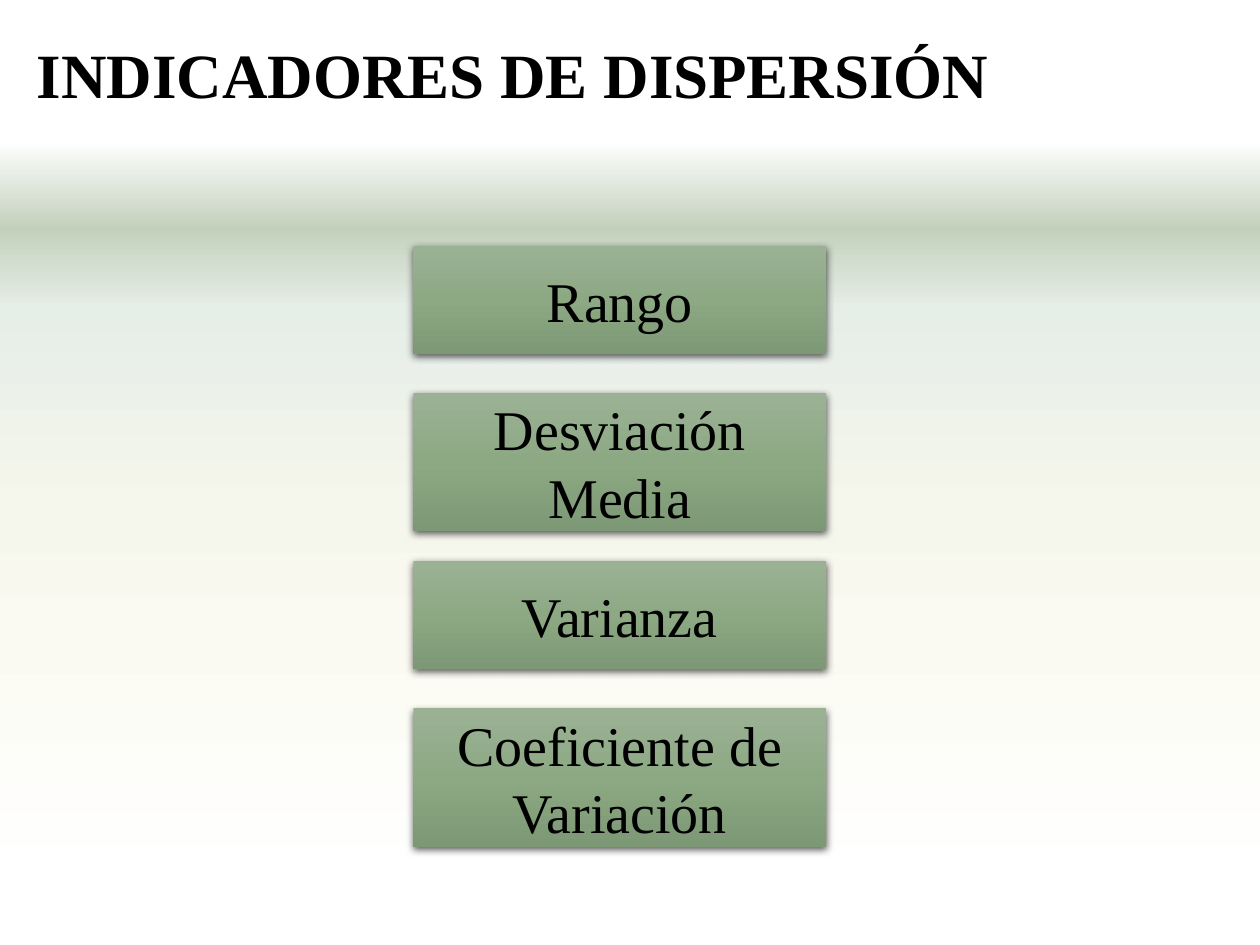
from copy import deepcopy
from itertools import pairwise

from lxml.etree import SubElement
from pptx import Presentation
from pptx.dml.color import RGBColor
from pptx.enum.shapes import MSO_SHAPE as Shape
from pptx.enum.text import MSO_ANCHOR as Anchor, PP_ALIGN as Align
from pptx.oxml.ns import qn
from pptx.util import Inches, Pt

COLUMNS, ROWS = 100, 75
WIDTH, HEIGHT = Inches(10), Inches(7.5)
FONT = "Times New Roman"
BOX_COLOURS = ["9BB194", "8DA984", "7C9874"]
BACKDROP_STOPS = [
    (0, "FFFFFF"), (0.11, "C3D1BC"), (0.21, "E6EEE8"),
    (0.46, "F5F6EC"), (0.62, "FBFAF2"), (0.92, "FFFFFF"),
]
INDICATORS = [
    ("Rango", "Desviación Media"),
    ("Varianza", "Coeficiente de Variación"),
]


def colour(value):
    return RGBColor.from_string(value)


def grid(left, top, width, height):
    column, row = WIDTH / COLUMNS, HEIGHT / ROWS
    return [round(n) for n in (left * column, top * row, width * column, height * row)]


def fill_downwards(shape, colours):
    fill = shape.fill
    fill.gradient()
    fill.gradient_angle = 270
    stop_list = shape._element.spPr.find(".//" + qn("a:gsLst"))
    for _ in colours[2:]:
        stop_list.append(deepcopy(stop_list[0]))
    for index, (stop, value) in enumerate(zip(fill.gradient_stops, colours)):
        stop.color.rgb = colour(value)
        stop.position = index / (len(colours) - 1)


def add_gradient_box(page, area, colours):
    shape = page.shapes.add_shape(Shape.RECTANGLE, *grid(*area))
    shape.shadow.inherit = False
    shape.line.fill.background()
    fill_downwards(shape, colours)
    return shape


def add_shadow(shape):
    effects = shape._element.spPr.find(qn("a:effectLst"))
    shadow = SubElement(
        effects, qn("a:outerShdw"), blurRad=str(Pt(4.5)), dist=str(Pt(1.5)),
        dir="5400000", rotWithShape="0",
    )
    black = SubElement(shadow, qn("a:srgbClr"), val="000000")
    SubElement(black, qn("a:alpha"), val="63000")


def write(shape, text, size, bold=False):
    frame = shape.text_frame
    frame.word_wrap = True
    frame.vertical_anchor = Anchor.MIDDLE
    para = frame.paragraphs[0]
    para.text = text
    para.alignment = Align.CENTER
    font = para.font
    font.name, font.size, font.bold = FONT, Pt(size), bold
    font.color.rgb = colour("000000")


def add_backdrop(page, area):
    left, top, width, height = area
    for (start, upper), (end, lower) in pairwise(BACKDROP_STOPS):
        band = (left, top + start * height, width, (end - start) * height)
        add_gradient_box(page, band, [upper, lower])


def add_title(page, area):
    title = page.shapes.title
    title.left, title.top, title.width, title.height = grid(*area)
    write(title, "INDICADORES DE DISPERSIÓN", 36, bold=True)


def add_indicators(page, area):
    left, top, width, height = area
    short, tall, pitch = 0.18 * height, 0.23 * height, 0.525 * height
    for index, (upper, lower) in enumerate(INDICATORS):
        start = top + index * pitch
        second = start + pitch - tall - 0.05 * height
        for text, row, depth in ((upper, start, short), (lower, second, tall)):
            box = add_gradient_box(page, (left, row, width, depth), BOX_COLOURS)
            add_shadow(box)
            write(box, text, 32)


def main():
    deck = Presentation()
    deck.slide_width, deck.slide_height = WIDTH, HEIGHT
    page = deck.slides.add_slide(deck.slide_layouts[5])
    add_backdrop(page, (0, 11.1, COLUMNS, 63.9))
    add_title(page, (-4.3, -0.4, 90, 12.5))
    add_indicators(page, (32.8, 19.5, 32.8, 47.7))
    deck.save("out.pptx")


if __name__ == "__main__":
    main()
